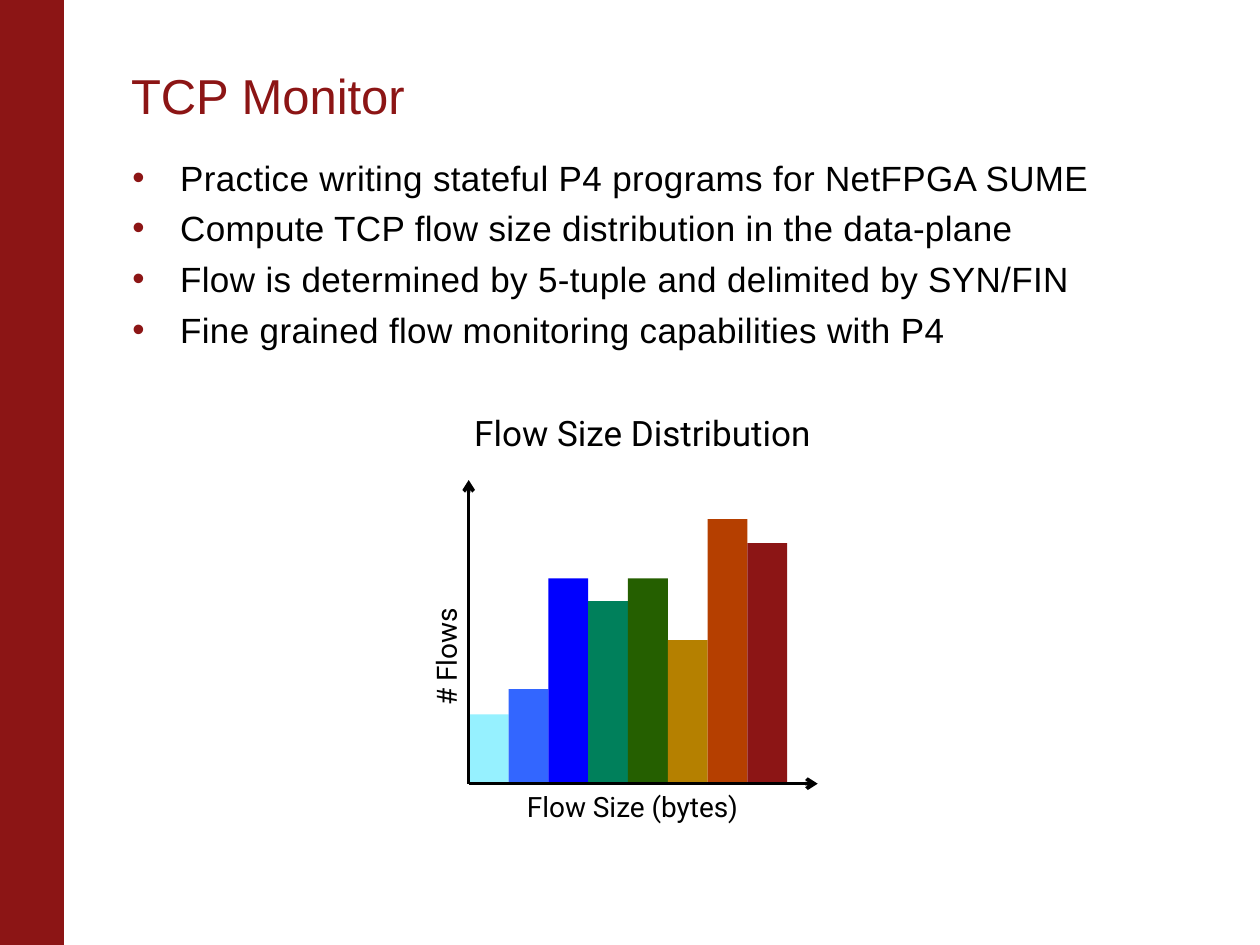
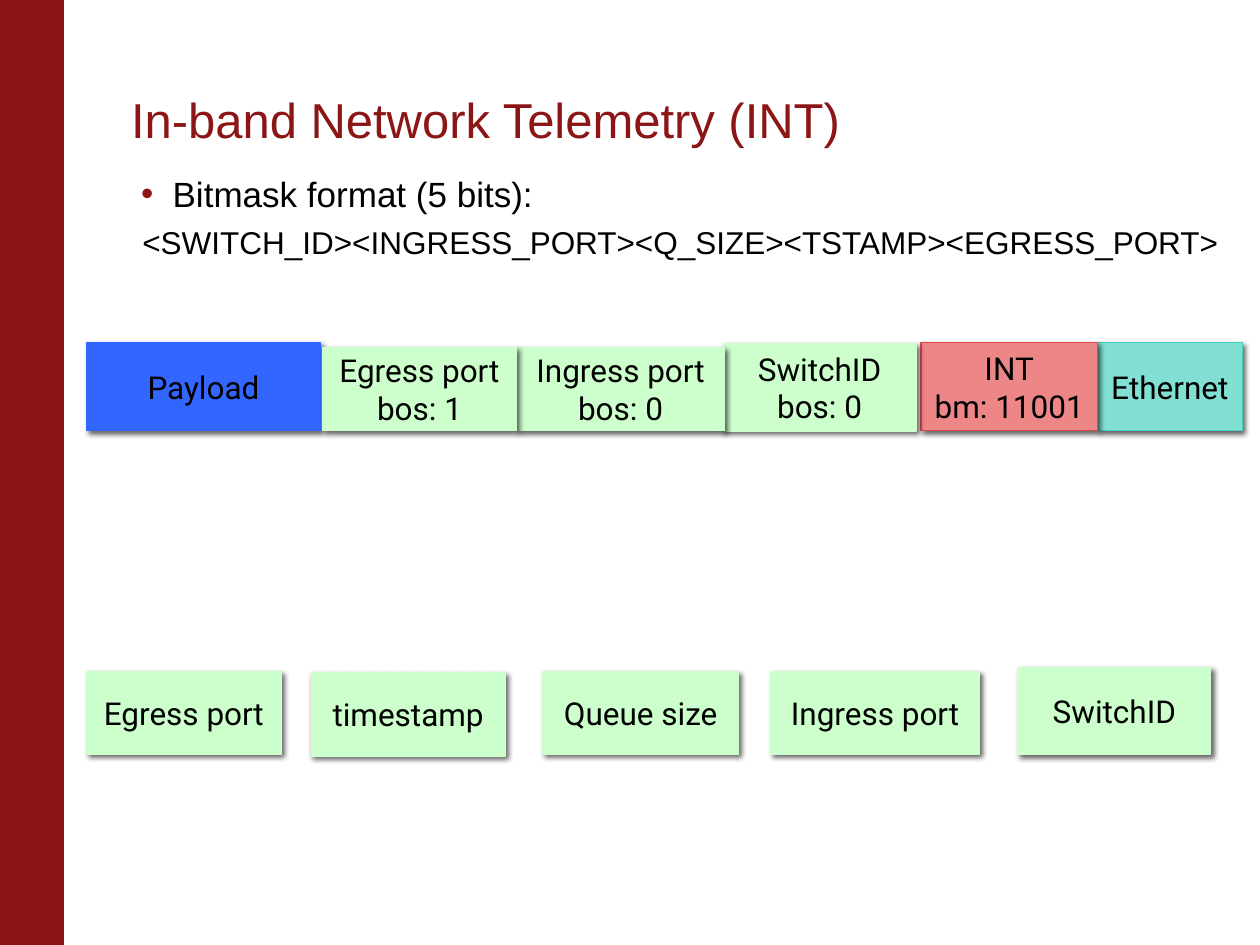
from lxml import etree
from pptx import Presentation, util as u
from pptx.dml.color import RGBColor
from pptx.enum import shapes, text
from pptx.oxml import ns

COLORS = {
    "cardinal": "8C1515", "black": "000000", "white": "FFFFFF",
    "sky": "96F1FF", "azure": "3366FF", "blue": "0000FF", "teal": "00805B",
    "forest": "255F00", "gold": "B58000", "rust": "B53F00",
    "mint": "CCFFCC", "rose": "ED8686", "red": "E44949",
    "aqua": "81E0D3", "turquoise": "42D1BC",
}


def child(parent, tag, **attributes):
    return etree.SubElement(parent, ns.qn(f"a:{tag}"), {k: str(v) for k, v in attributes.items()})


class Deck:
    heading_font = "Arial"
    label_font = "Roboto"

    def __init__(self):
        self.presentation = Presentation()
        self.presentation.slide_width = u.Inches(10)
        self.presentation.slide_height = u.Inches(7.5)
        self.slide = None

    def color(self, name):
        return RGBColor.from_string(COLORS[name])

    def new_slide(self, title, title_top):
        self.slide = self.presentation.slides.add_slide(self.presentation.slide_layouts[6])
        fill = self.slide.background.fill
        fill.solid()
        fill.fore_color.rgb = self.color("white")
        self.rect(0, 0, 0.5, 7.5, "cardinal", "cardinal")
        frame = self.frame(1.04, title_top, 8.43, 0.71, (0, 0.1))
        frame.vertical_anchor = text.MSO_ANCHOR.BOTTOM
        heading = frame.paragraphs[0]
        heading.line_spacing = 0.85
        self.run(heading, title, 28, self.heading_font, "cardinal")

    def run(self, paragraph, words, size, font, color="black"):
        run = paragraph.add_run()
        run.text = words
        run.font.size = u.Pt(size)
        run.font.name = font
        run.font.color.rgb = self.color(color)
        return run

    def frame(self, left, top, width, height, side_insets=(0.1, 0.1), rotation=0):
        box = self.slide.shapes.add_textbox(*map(u.Inches, (left, top, width, height)))
        box.rotation = rotation
        frame = box.text_frame
        frame.word_wrap = True
        frame.margin_left, frame.margin_right = map(u.Inches, side_insets)
        return frame

    def paragraphs(self, frame, count):
        return [frame.paragraphs[0]] + [frame.add_paragraph() for _ in range(count - 1)]

    def body(self, box, lines, tracking=0):
        frame = self.frame(*box, side_insets=(0, 0))
        for index, (paragraph, line) in enumerate(zip(self.paragraphs(frame, len(lines)), lines)):
            words, size, margin, hanging = line
            properties = paragraph._p.get_or_add_pPr()
            properties.set("marL", str(u.Inches(margin)))
            properties.set("indent", str(-u.Inches(hanging)))
            if hanging:
                child(child(properties, "buClr"), "srgbClr", val=COLORS["cardinal"])
                child(properties, "buFont", typeface=self.heading_font)
                child(properties, "buChar", char="•")
            if index:
                paragraph.space_before = u.Pt(5)
            run = self.run(paragraph, words, size, self.heading_font)
            if tracking:
                run.font._element.set("spc", str(tracking))

    def label(self, left, top, width, height, words, size, rotation=0):
        frame = self.frame(left, top, width, height, rotation=rotation)
        frame.word_wrap = False
        frame.auto_size = text.MSO_AUTO_SIZE.SHAPE_TO_FIT_TEXT
        frame.paragraphs[0].alignment = text.PP_ALIGN.CENTER
        self.run(frame.paragraphs[0], words, size, self.label_font)

    def rect(self, left, top, width, height, fill, line=None):
        rect = self.slide.shapes.add_shape(
            shapes.MSO_SHAPE.RECTANGLE, *map(u.Inches, (left, top, width, height)))
        rect.shadow.inherit = False
        rect.fill.solid()
        rect.fill.fore_color.rgb = self.color(fill)
        if line:
            rect.line.color.rgb = self.color(line)
            rect.line.width = u.Pt(0.75)
        else:
            rect.line.fill.background()
        return rect

    def field(self, left, top, width, height, lines, fill="mint", line=None):
        field = self.rect(left, top, width, height, fill, line or fill)
        effects = field._element.spPr.find(ns.qn("a:effectLst"))
        shadow = child(effects, "outerShdw", blurRad=u.Pt(3), dist=u.Pt(2),
                       dir=45 * 60000, algn="tl", rotWithShape=0)
        child(child(shadow, "srgbClr", val=COLORS["black"]), "alpha", val=60000)
        frame = field.text_frame
        frame.word_wrap = True
        frame.vertical_anchor = text.MSO_ANCHOR.MIDDLE
        for paragraph, words in zip(self.paragraphs(frame, len(lines)), lines):
            paragraph.alignment = text.PP_ALIGN.CENTER
            self.run(paragraph, words, 18, self.label_font)

    def arrow(self, start, end):
        arrow = self.slide.shapes.add_connector(
            shapes.MSO_CONNECTOR.STRAIGHT, *map(u.Inches, start + end))
        arrow.line.color.rgb = self.color("black")
        arrow.line.width = u.Pt(2.08)
        child(arrow.line._get_or_add_ln(), "tailEnd", type="arrow")
        child(arrow._element.spPr, "effectLst")


def tcp_monitor(deck):
    deck.new_slide("TCP Monitor", 0.33)
    points = [
        "Practice writing stateful P4 programs for NetFPGA SUME",
        "Compute TCP flow size distribution in the data-plane",
        "Flow is determined by 5-tuple and delimited by SYN/FIN",
        "Fine grained flow monitoring capabilities with P4",
    ]
    deck.body((1.05, 1.19, 8.42, 5.48), [(point, 20, 0.38, 0.38) for point in points], tracking=20)

    origin_x, origin_y, pitch = 3.72, 6.22, 0.316
    flow_counts = [("sky", 0.55), ("azure", 0.75), ("blue", 1.63), ("teal", 1.45),
                   ("forest", 1.63), ("gold", 1.14), ("rust", 2.1), ("cardinal", 1.91)]
    for index, (color, height) in enumerate(flow_counts):
        deck.rect(origin_x + index * pitch, origin_y - height, pitch, height, color)
    deck.label(4.06, 6.22, 1.92, 0.37, "Flow Size (bytes)", 16)
    deck.label(3.05, 5.03, 0.98, 0.37, "# Flows", 16, rotation=270)
    deck.arrow((origin_x, origin_y), (origin_x, 3.81))
    deck.arrow((origin_x, origin_y), (6.49, origin_y))
    deck.label(3.65, 3.22, 2.9, 0.44, "Flow Size Distribution", 20)


def network_telemetry(deck):
    deck.new_slide("In-band Network Telemetry (INT)", 0.52)
    deck.body((0.75, 1.32, 8.95, 1.32), [
        ("Bitmask format (5 bits):", 20, 0.62, 0.25),
        ("<SWITCH_ID><INGRESS_PORT><Q_SIZE><TSTAMP><EGRESS_PORT>", 18, 0.38, 0),
    ])

    packet_bottom = 3.42
    packet = [
        (8.71, 1.15, 0.7, ["Ethernet"], "aqua", "turquoise"),
        (7.31, 1.4, 0.7, ["INT", "bm: 11001"], "rose", "red"),
        (0.69, 1.85, 0.7, ["Payload"], "azure"),
        (5.74, 1.53, 0.69, ["SwitchID", "bos: 0"]),
        (4.1, 1.65, 0.66, ["Ingress port", "bos: 0"]),
        (2.56, 1.54, 0.66, ["Egress port", "bos: 1"]),
    ]
    for left, width, height, *content in packet:
        deck.field(left, packet_bottom - height, width, height, *content)

    metadata = [
        (0.69, 5.33, 1.54, 0.66, "Egress port"),
        (2.47, 5.34, 1.54, 0.66, "timestamp"),
        (4.31, 5.33, 1.55, 0.66, "Queue size"),
        (6.12, 5.33, 1.65, 0.66, "Ingress port"),
        (8.08, 5.3, 1.53, 0.69, "SwitchID"),
    ]
    for *box, name in metadata:
        deck.field(*box, [name])


def main():
    deck = Deck()
    tcp_monitor(deck)
    network_telemetry(deck)
    deck.presentation.save("out.pptx")


if __name__ == "__main__":
    main()
